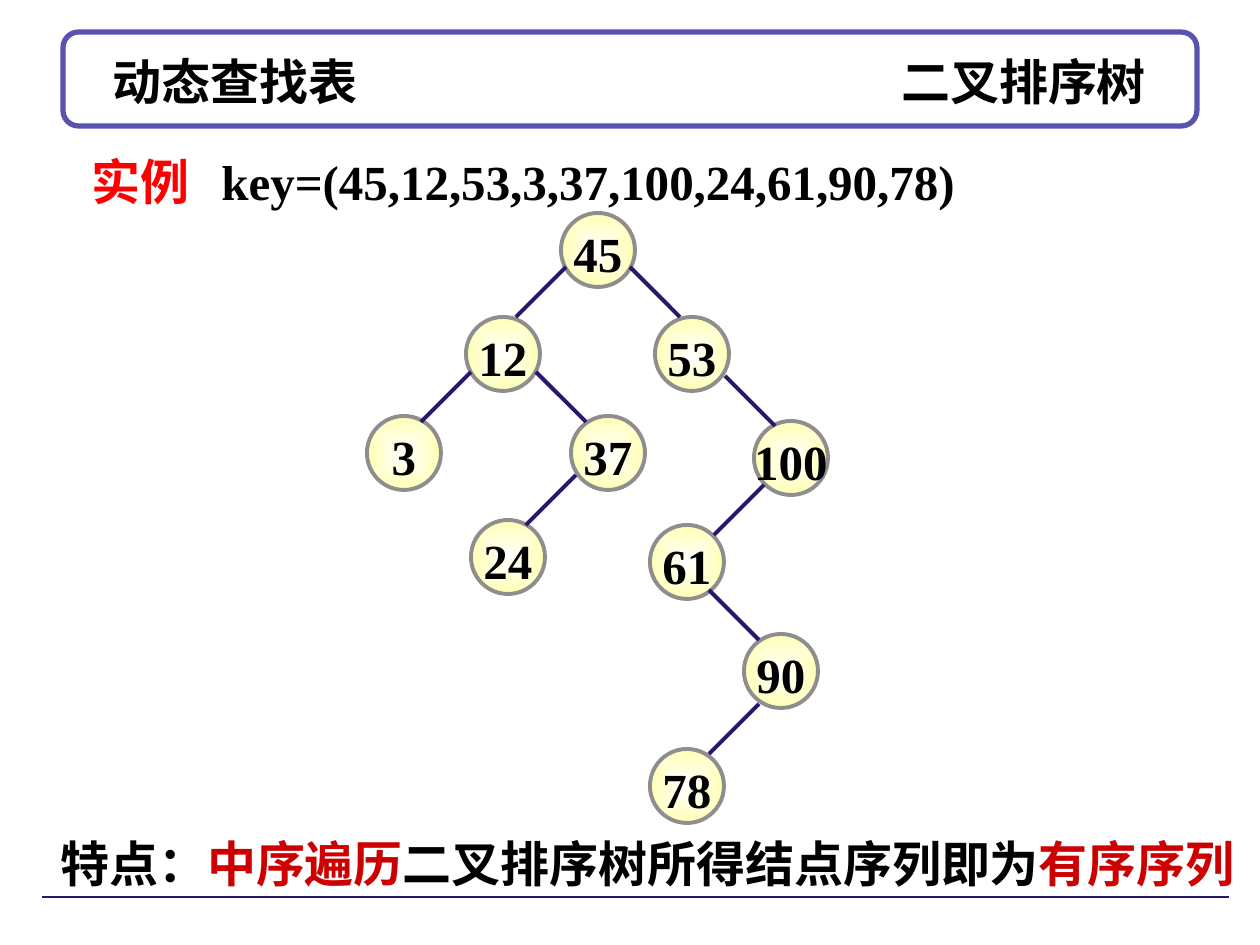
from lxml import etree
from pptx import Presentation
from pptx.dml.color import RGBColor
from pptx.enum.shapes import MSO_CONNECTOR as Connector, MSO_SHAPE as Shape
from pptx.enum.text import MSO_ANCHOR as Anchor, PP_ALIGN as Align
from pptx.oxml import parse_xml
from pptx.oxml.ns import nsdecls, qn
from pptx.util import Pt

SCALE = 914400 / 126
WIDTH, HEIGHT = 1260, 945

WHITE = RGBColor(0xFF, 0xFF, 0xFF)
INK = RGBColor(0x01, 0x01, 0x03)
BLACK = RGBColor(0x00, 0x00, 0x00)
RED = RGBColor(0xFF, 0x00, 0x00)
DARK_RED = RGBColor(0xCC, 0x00, 0x00)
VIOLET = RGBColor(0x59, 0x52, 0xAE)
NAVY = RGBColor(0x2B, 0x16, 0x6E)
GREY = RGBColor(0x8E, 0x8E, 0x8E)
CREAM = RGBColor(0xFF, 0xFF, 0xB3)

SERIF, SANS = "Times New Roman", "Lato"
NODE_SIZE, EDGE_SPAN = 74, 50

NODES = [
    ("45", 194, 0), ("12", 99, 104), ("53", 288, 104),
    ("3", 0, 203), ("37", 204, 203), ("100", 387, 208),
    ("24", 104, 307), ("61", 283, 312), ("90", 377, 421), ("78", 283, 536),
]
LEFT, RIGHT = -1, 1
EDGES = [
    (199, 54, LEFT), (263, 54, RIGHT), (104, 159, LEFT), (169, 159, RIGHT),
    (358, 163, RIGHT), (209, 262, LEFT), (397, 272, LEFT),
    (342, 377, RIGHT), (392, 491, LEFT),
]


def px(length):
    """Turn px into EMU."""
    return round(length * SCALE)


def add_runs(paragraph, runs):
    """Add bold 28 pt runs of (text, font, colour)."""
    for text, font_name, color in runs:
        run = paragraph.add_run()
        run.text = text
        run.font.size = Pt(28)
        run.font.bold = True
        run.font.name = font_name
        run.font.color.rgb = color


def add_tab(paragraph, position, alignment):
    """Give the paragraph one tab stop."""
    tabs = etree.SubElement(paragraph._p.get_or_add_pPr(), qn("a:tabLst"))
    etree.SubElement(tabs, qn("a:tab"), pos=str(px(position)), algn=alignment)


def add_line(slide, start, end, width):
    """Draw a navy line without shadow."""
    points = [px(value) for value in (*start, *end)]
    line = slide.shapes.add_connector(Connector.STRAIGHT, *points)
    line.line.color.rgb = NAVY
    line.line.width = Pt(width)
    etree.SubElement(line._element.spPr, qn("a:effectLst"))


def add_text_box(slide, left, top, width, height):
    """Add a wrapping text box and return its frame."""
    box = slide.shapes.add_textbox(px(left), px(top), px(width), px(height))
    box.text_frame.word_wrap = True
    return box.text_frame


def add_header(slide, left, top, width, height):
    """Draw the rounded frame with a title at each end."""
    frame = slide.shapes.add_shape(
        Shape.ROUNDED_RECTANGLE, px(left), px(top), px(width), px(height))
    frame.shadow.inherit = False
    frame.fill.solid()
    frame.fill.fore_color.rgb = WHITE
    frame.line.color.rgb = VIOLET
    frame.line.width = Pt(3)

    text_frame = add_text_box(slide, left, top + 10, width, 78)
    text_frame.vertical_anchor = Anchor.MIDDLE
    text_frame.margin_left = text_frame.margin_right = px(50)
    paragraph = text_frame.paragraphs[0]
    add_tab(paragraph, width - 101, "r")
    add_runs(paragraph, [("动态查找表\t二叉排序树", SERIF, INK)])


def add_example(slide, left, top, width, height):
    """Write the list of keys behind its red label."""
    paragraph = add_text_box(slide, left, top, width, height).paragraphs[0]
    paragraph.line_spacing = 1.1
    add_tab(paragraph, 130, "l")
    add_runs(paragraph, [
        ("实", SANS, RED), ("例\t", SERIF, RED),
        ("key=(45,12,53,3,37,100,24,61,90,78)", SERIF, INK),
    ])


def add_node(slide, key, left, top):
    """Draw one tree node with its key."""
    node = slide.shapes.add_shape(
        Shape.OVAL, px(left), px(top), px(NODE_SIZE), px(NODE_SIZE))
    node.shadow.inherit = False
    node._element.spPr.find(qn("a:prstGeom")).addnext(parse_xml(
        f'<a:gradFill {nsdecls("a")} rotWithShape="1"><a:gsLst>'
        f'<a:gs pos="0"><a:srgbClr val="{WHITE}"/></a:gs>'
        f'<a:gs pos="100000"><a:srgbClr val="{CREAM}"/></a:gs></a:gsLst>'
        '<a:path path="rect"><a:fillToRect l="50000" t="50000" r="50000" b="50000"/>'
        '</a:path></a:gradFill>'))
    node.line.color.rgb = GREY
    node.line.width = Pt(2.25)
    text_frame = node.text_frame
    text_frame.word_wrap = False
    text_frame.vertical_anchor = Anchor.MIDDLE
    paragraph = text_frame.paragraphs[0]
    paragraph.alignment = Align.CENTER
    paragraph.line_spacing = 1.1
    add_runs(paragraph, [(key, SERIF, INK)])


def add_tree(slide, left, top):
    """Draw the binary search tree from its top left corner."""
    for key, x, y in NODES:
        add_node(slide, key, left + x, top + y)
    for x, y, side in EDGES:
        start = (left + x, top + y)
        end = (start[0] + side * EDGE_SPAN, start[1] + EDGE_SPAN)
        add_line(slide, start, end, 2.25)


def add_conclusion(slide, left, top, width, height):
    """Write the closing sentence above the footer rule."""
    add_line(slide, (left - 6, top + 75), (left + 1181, top + 75), 0.75)
    paragraph = add_text_box(slide, left, top, width, height).paragraphs[0]
    paragraph.line_spacing = 1.1
    add_runs(paragraph, [
        ("特点", SANS, BLACK), ("：", SANS, INK),
        ("中序遍历", SANS, DARK_RED),
        ("二叉排序树所得结点序列即为", SANS, INK),
        ("有序序列", SANS, DARK_RED),
    ])


def main():
    """Build and save the slide."""
    presentation = Presentation()
    presentation.slide_width, presentation.slide_height = px(WIDTH), px(HEIGHT)
    slide = presentation.slides.add_slide(presentation.slide_layouts[6])
    add_header(slide, 63, 32, 1134, 94)
    add_tree(slide, 367, 213)
    add_example(slide, 79, 139, 1108, 84)
    add_conclusion(slide, 48, 822, 1211, 78)
    presentation.save("out.pptx")


if __name__ == "__main__":
    main()
